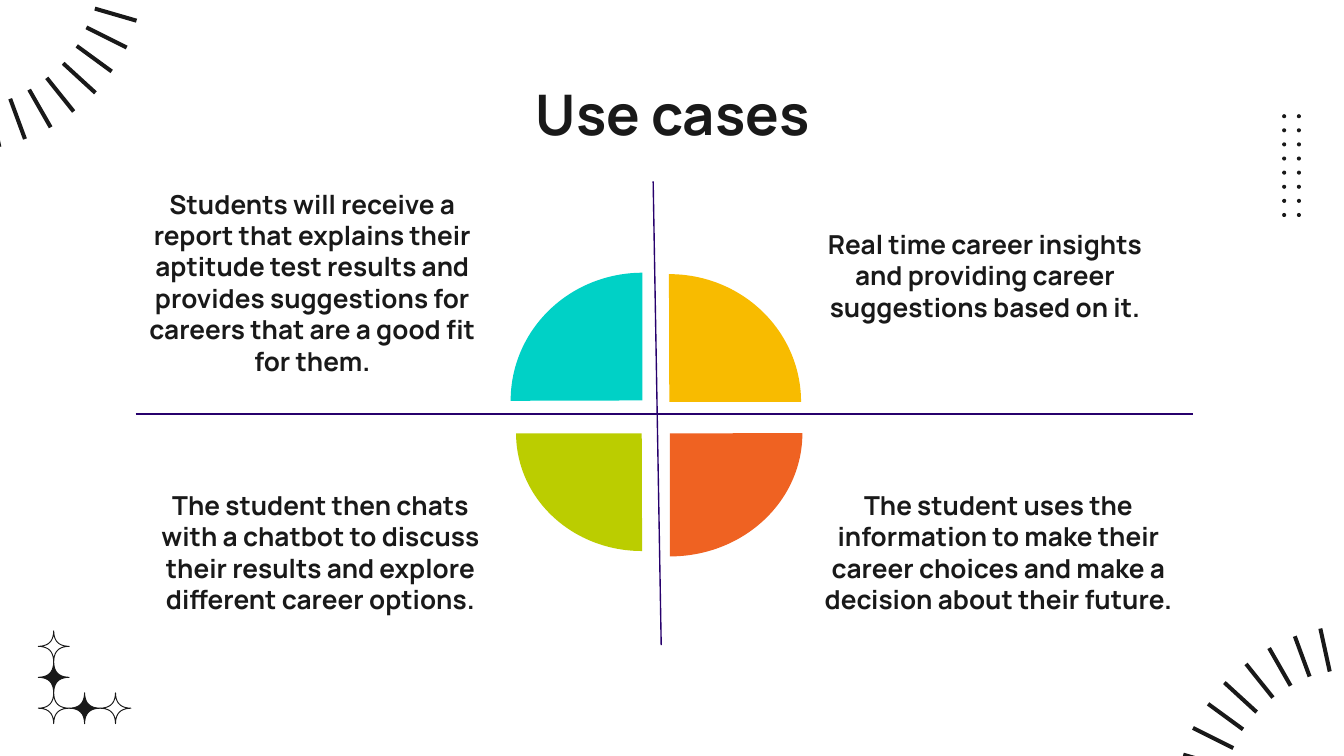
from math import hypot

from lxml import etree
from pptx import Presentation
from pptx.dml.color import RGBColor
from pptx.enum.shapes import MSO_CONNECTOR, MSO_SHAPE
from pptx.enum.text import MSO_ANCHOR, MSO_AUTO_SIZE, PP_ALIGN
from pptx.oxml.ns import qn
from pptx.util import Inches, Pt

PIE, OVAL = MSO_SHAPE.PIE, MSO_SHAPE.OVAL
STRAIGHT = MSO_CONNECTOR.STRAIGHT
CENTER, TOP, NO_FIT = PP_ALIGN.CENTER, MSO_ANCHOR.TOP, MSO_AUTO_SIZE.NONE

FONT = "Manrope"
INK = RGBColor(0x19, 0x19, 0x19)
WHITE = RGBColor(0xFF, 0xFF, 0xFF)
PURPLE = RGBColor(0x27, 0x00, 0x6C)
TURQUOISE = RGBColor(0x00, 0xD1, 0xC6)
YELLOW = RGBColor(0xF8, 0xBB, 0x00)
LIME = RGBColor(0xBB, 0xCD, 0x00)
ORANGE = RGBColor(0xEF, 0x62, 0x22)

# Content: text with its box (left, top, width, height)
TITLE = ("Use cases", (0.79, 0.49, 8.43, 0.63))
USE_CASES = [
    ("Students will receive a report that explains their aptitude test results "
     "and provides suggestions for careers that are a good fit for them.",
     (1.01, 1.35, 2.63, 1.51)),
    ("The student then chats with a chatbot to discuss their results and "
     "explore different career options.", (1.07, 3.59, 2.63, 1.51)),
    ("Real time career insights and providing career suggestions based on it.",
     (5.91, 1.65, 2.84, 0.81)),
    ("The student uses the information to make their career choices and make a "
     "decision about their future.", (6, 3.59, 2.86, 1.28)),
]

# Quarter circles: box, rotation, colour
QUARTERS = [
    ((3.8, 2.03, 1.96, 1.9), 0, TURQUOISE),
    ((4.03, 2.01, 1.9, 1.96), 90, YELLOW),
    ((3.9, 2.29, 1.75, 1.87), 270, LIME),
    ((4, 2.31, 1.97, 1.83), 180, ORANGE),
]
AXES = [(1.01, 3.08, 8.88, 3.08), (4.86, 1.35, 4.92, 4.8)]

# Decoration: one long edge of each stripe, and star centres with solid flag
STRIPES = [
    (-0.06, 0.77, 0.01, 1.09), (0.09, 0.73, 0.2, 1.03),
    (0.23, 0.66, 0.39, 0.94), (0.36, 0.57, 0.56, 0.82),
    (0.48, 0.46, 0.72, 0.68), (0.58, 0.33, 0.84, 0.52),
    (0.65, 0.19, 0.95, 0.34), (0.71, 0.05, 1.02, 0.14),
]
STRIPE_WIDTH = 0.03
STRIPE_TURN = (9.82, 5.77)  # half turn: (x, y) becomes (9.82 - x, 5.77 - y)
STARS = [(0, 0, False), (0, 1, True), (0, 2, False), (1, 2, True), (2, 2, False)]
STAR_ORIGIN, STAR_STEP, STAR_RADIUS, STAR_CONTROL = (0.4, 4.81), 0.23, 0.115, 0.04


def paint(shape, color):
    shape.shadow.inherit = False
    shape.fill.solid()
    shape.fill.fore_color.rgb = color
    shape.line.fill.background()


def write(shape, text, size):
    frame = shape.text_frame
    frame.word_wrap = True
    frame.auto_size = NO_FIT
    frame.vertical_anchor = TOP
    paragraph = frame.paragraphs[0]
    paragraph.alignment = CENTER
    run = paragraph.add_run()
    run.text = text
    font = run.font
    font.name, font.size, font.bold = FONT, Pt(size), True
    font.color.rgb = INK
    return frame


def add_polygon(shapes, points):
    corners = [(Inches(x), Inches(y)) for x, y in points]
    builder = shapes.build_freeform(*corners[0])
    builder.add_line_segments(corners[1:], close=True)
    shape = builder.convert_to_shape()
    paint(shape, INK)
    return shape


def stripe_corners(x1, y1, x2, y2):
    scale = STRIPE_WIDTH / hypot(x2 - x1, y2 - y1)
    dx, dy = (y1 - y2) * scale, (x2 - x1) * scale
    return [(x1, y1), (x2, y2), (x2 + dx, y2 + dy), (x1 + dx, y1 + dy)]


def star_points(x, y, steps=10):
    points = []
    for turn in range(4):
        for step in range(steps):
            t = step / steps
            dx = -STAR_RADIUS * (1 - t) ** 3 - 3 * STAR_CONTROL * t * (1 - t) ** 2
            dy = STAR_RADIUS * t ** 3 + 3 * STAR_CONTROL * t ** 2 * (1 - t)
            for _ in range(turn):
                dx, dy = dy, -dx
            points.append((x + dx, y + dy))
    return points


# Slide in 16:9
presentation = Presentation()
presentation.slide_width = Inches(10)
presentation.slide_height = Inches(10 * 9 / 16)
slide = presentation.slides.add_slide(presentation.slide_layouts[5])
slide.background.fill.solid()
slide.background.fill.fore_color.rgb = WHITE
shapes = slide.shapes

# Corner stripes, upper left and turned lower right
for stripe in STRIPES:
    corners = stripe_corners(*stripe)
    add_polygon(shapes, corners)
    add_polygon(shapes, [(STRIPE_TURN[0] - x, STRIPE_TURN[1] - y) for x, y in corners])

# Dot grid
for left in (9.54, 9.65):
    for row in range(8):
        dot = shapes.add_shape(OVAL, Inches(left), Inches(0.85 + 0.105 * row),
                               Inches(0.03), Inches(0.03))
        paint(dot, INK)

# Stars
for column, row, solid in STARS:
    star = add_polygon(shapes, star_points(STAR_ORIGIN[0] + column * STAR_STEP,
                                           STAR_ORIGIN[1] + row * STAR_STEP))
    if not solid:
        star.fill.background()
    star.line.color.rgb = INK
    star.line.width = Pt(0.5)

# Title
title = shapes.title
title.left, title.top, title.width, title.height = map(Inches, TITLE[1])
frame = write(title, TITLE[0], 30)
frame.margin_top = frame.margin_bottom = Inches(0.1)

# Use cases
for text, box in USE_CASES:
    write(shapes.add_textbox(*map(Inches, box)), text, 14)

# Quarter circles
for box, rotation, color in QUARTERS:
    quarter = shapes.add_shape(PIE, *map(Inches, box))
    quarter.adjustments[0], quarter.adjustments[1] = 107.89, 162
    quarter.rotation = rotation
    paint(quarter, color)

# Axes
for ends in AXES:
    axis = shapes.add_connector(STRAIGHT, *map(Inches, ends))
    axis.line.color.rgb = PURPLE
    axis.line.width = Pt(0.75)
    etree.SubElement(axis._element.spPr, qn("a:effectLst"))

presentation.save("out.pptx")
